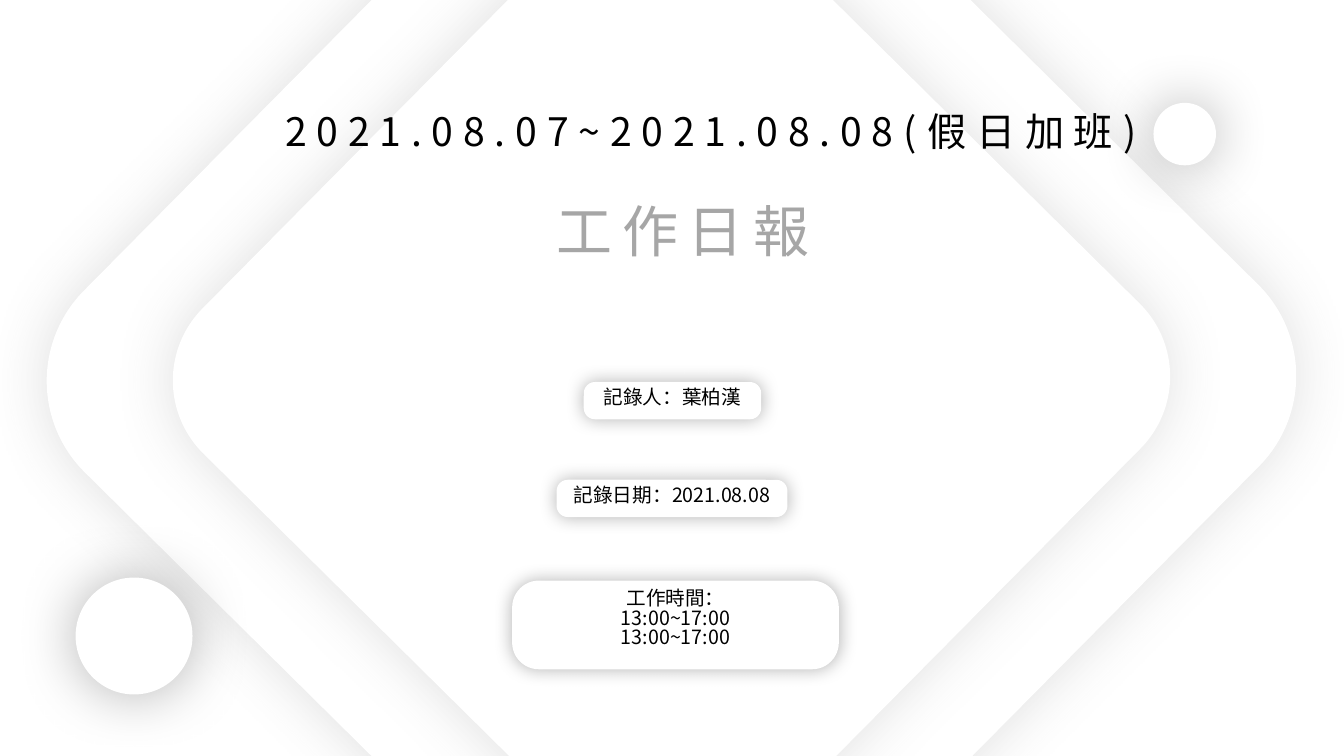
from dataclasses import dataclass

from lxml import etree
from pptx import Presentation
from pptx.dml.color import RGBColor
from pptx.enum.shapes import MSO_SHAPE
from pptx.enum.text import MSO_AUTO_SIZE, PP_ALIGN
from pptx.oxml.ns import qn
from pptx.util import Inches, Pt

ROUND = MSO_SHAPE.ROUNDED_RECTANGLE
OVAL = MSO_SHAPE.OVAL
GROW = MSO_AUTO_SIZE.SHAPE_TO_FIT_TEXT
CENTER = PP_ALIGN.CENTER


@dataclass(frozen=True)
class Theme:
    face: str = "Noto Sans CJK SC"
    white: str = "FFFFFF"
    black: str = "000000"
    gray: str = "A6A6A6"
    shade: str = "595959"
    date: int = 28
    title: int = 40
    body: int = 14
    track: int = 7
    line: float = 0.84


THEME = Theme()


def add_glow(shape, color, alpha, blur):
    """Give a shape a soft, centred shadow."""
    effects = etree.SubElement(shape._element.spPr, qn("a:effectLst"))
    shadow = etree.SubElement(effects, qn("a:outerShdw"), blurRad=str(Pt(blur)),
                              dist="0", dir="0", algn="ctr", rotWithShape="0")
    tint = etree.SubElement(shadow, qn("a:srgbClr"), val=color)
    etree.SubElement(tint, qn("a:alpha"), val=str(alpha * 1000))


def add_plate(shapes, kind, box, glow, bend=None, turn=0):
    """Draw a white plate with a soft shadow."""
    plate = shapes.add_shape(kind, *map(Inches, box))
    plate.fill.solid()
    plate.fill.fore_color.rgb = RGBColor.from_string(THEME.white)
    plate.line.fill.background()
    plate.rotation = turn
    if bend is not None:
        plate.adjustments[0] = bend
    add_glow(plate, *glow)


def add_text(shapes, box, lines, size, color, track=0):
    """Write centred lines in a box."""
    frame = shapes.add_textbox(*map(Inches, box)).text_frame
    frame.word_wrap = True
    frame.auto_size = GROW
    style = {"name": THEME.face, "size": Pt(size)}
    for i, line in enumerate(lines):
        para = frame.paragraphs[0] if i == 0 else frame.add_paragraph()
        para.alignment = CENTER
        para.line_spacing = THEME.line
        run = para.add_run()
        run.text = line
        for key, value in style.items():
            setattr(run.font, key, value)
        run.font.color.rgb = RGBColor.from_string(color)
        props = run.font._element
        etree.SubElement(props, qn("a:ea"), typeface=THEME.face)
        if track:
            props.set("spc", str(track * 100))


def add_back(shapes, mid, top):
    """Stack two turned squares around a centre."""
    for size in (9.51, 7.59):
        box = (mid - size / 2, top - size / 2, size, size)
        add_plate(shapes, ROUND, box, (THEME.shade, 19, 43), 0.134, 44.7)


def add_head(shapes, left, top):
    """Place the date range over the report title."""
    add_text(shapes, (left, top, 8.78, 0.57), ["2021.08.07~2021.08.08(假日加班)"],
             THEME.date, THEME.black, THEME.track)
    add_text(shapes, (left + 1.74, top + 0.92, 4.75, 0.77), ["工作日報"],
             THEME.title, THEME.gray, THEME.track)


def add_dot(shapes, left, top, size):
    """Draw a floating disc."""
    add_plate(shapes, OVAL, (left, top, size, size), (THEME.black, 30, 43))


def add_label(shapes, left, top, wide, high, pad, lines):
    """Group a rounded plate with its wider text box."""
    group = shapes.add_group_shape().shapes
    add_plate(group, ROUND, (left, top, wide, high), (THEME.black, 30, 13), 0.302)
    drop = 0.02 if len(lines) == 1 else 0.04
    box = (left - pad, top + drop, wide + 2 * pad, high - 2 * drop)
    add_text(group, box, lines, THEME.body, THEME.black)


def main():
    deck = Presentation()
    deck.slide_width, deck.slide_height = Inches(13.33), Inches(7.5)
    shapes = deck.slides.add_slide(deck.slide_layouts[6]).shapes

    # Backdrop and heading
    add_back(shapes, 6.66, 3.755)
    add_head(shapes, 2.66, 1.09)

    # Discs
    add_dot(shapes, 0.75, 5.73, 1.16)
    add_dot(shapes, 11.44, 1.02, 0.62)

    # Record labels
    labels = [
        (5.79, 3.79, 1.76, 0.37, 0.17, ["記錄人：葉柏漢"]),
        (5.52, 4.76, 2.29, 0.37, 0.06, ["記錄日期：2021.08.08"]),
        (5.08, 5.76, 3.24, 0.88, 0.09, ["工作時間：", "13:00~17:00", "13:00~17:00"]),
    ]
    for label in labels:
        add_label(shapes, *label)

    deck.save("out.pptx")


if __name__ == "__main__":
    main()
